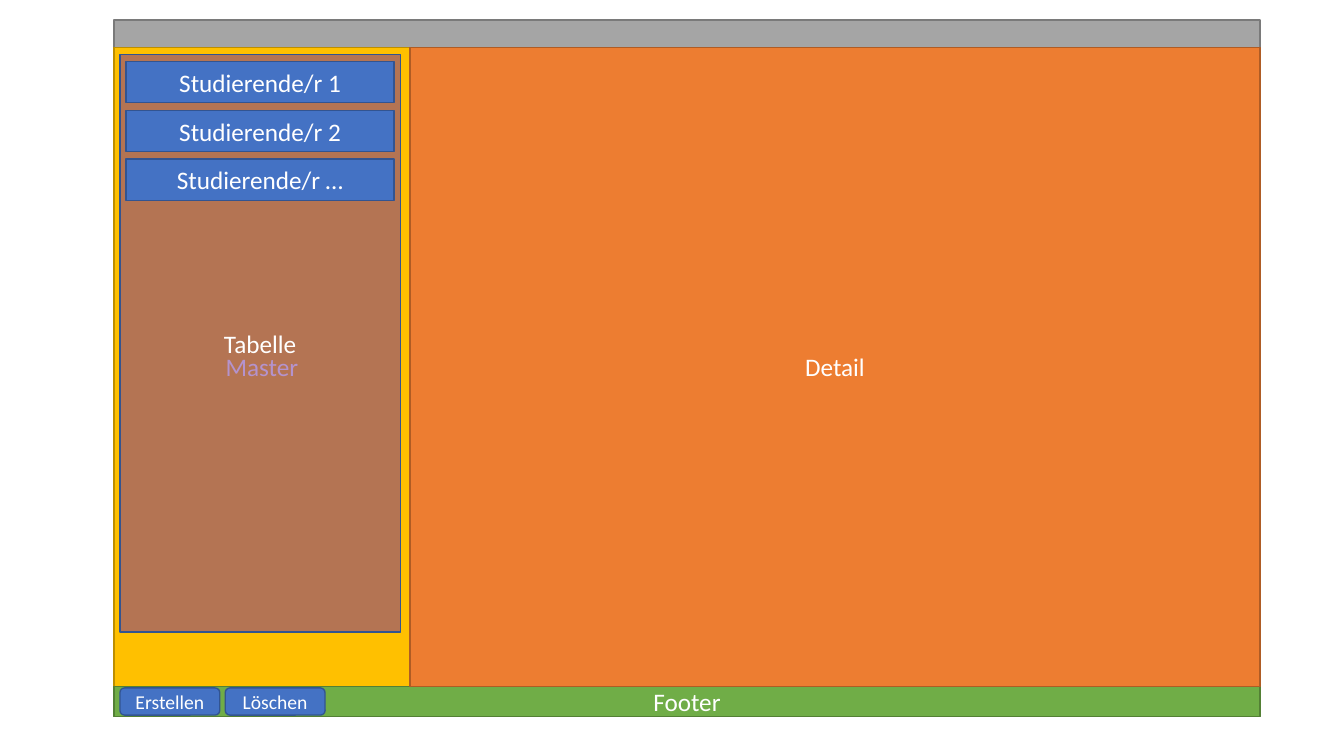
from dataclasses import dataclass

from lxml.etree import SubElement
from pptx import Presentation
from pptx.dml.color import RGBColor
from pptx.enum.shapes import MSO_SHAPE
from pptx.enum.text import MSO_ANCHOR, PP_ALIGN
from pptx.oxml.ns import qn
from pptx.util import Pt


@dataclass(frozen=True)
class Theme:
    """Colours are pairs of fill and outline."""
    font: str = "Calibri"
    text: str = "FFFFFF"
    body_size: int = 18
    button_size: int = 14
    window: tuple = ("A5A5A5", "7A7A7A")
    master: tuple = ("FFC000", "BD8E00")
    footer: tuple = ("70AD47", "538035")
    detail: tuple = ("ED7D31", "AF5C24")
    table: tuple = ("7030A0", "325491")
    item: tuple = ("4472C4", "325491")
    table_opacity: int = 52


THEME = Theme()

LEFT, TOP, WIDTH, HEIGHT = 81.4, 14.4, 818.6, 497.5
HEADER_HEIGHT = 19.4
FOOTER_HEIGHT = 21.6
MASTER_WIDTH = 211.4
PADDING = 4.3

CONTENT_TOP = TOP + HEADER_HEIGHT
FOOTER_TOP = TOP + HEIGHT - FOOTER_HEIGHT
CONTENT_HEIGHT = FOOTER_TOP - CONTENT_TOP
INNER_LEFT = LEFT + PADDING


def add_box(slide, bounds, colours, text="", size=THEME.body_size,
            kind=MSO_SHAPE.RECTANGLE):
    box = slide.shapes.add_shape(kind, *(Pt(length) for length in bounds))
    fill, outline = colours
    box.shadow.inherit = False
    box.fill.solid()
    box.fill.fore_color.rgb = RGBColor.from_string(fill)
    box.line.color.rgb = RGBColor.from_string(outline)
    box.line.width = Pt(1)
    if text:
        box.text_frame.text = text
        box.text_frame.vertical_anchor = MSO_ANCHOR.MIDDLE
        para = box.text_frame.paragraphs[0]
        para.alignment = PP_ALIGN.CENTER
        para.font.name = THEME.font
        para.font.size = Pt(size)
        para.font.color.rgb = RGBColor.from_string(THEME.text)
    return box


def set_opacity(box, percent):
    colour = box.fill._xPr.find(qn("a:solidFill"))[0]
    SubElement(colour, qn("a:alpha")).set("val", str(percent * 1000))


def add_regions(slide):
    add_box(slide, (LEFT, TOP, WIDTH, HEIGHT), THEME.window)
    add_box(slide, (LEFT, CONTENT_TOP, MASTER_WIDTH, CONTENT_HEIGHT),
            THEME.master, "Master")
    add_box(slide, (LEFT, FOOTER_TOP, WIDTH, FOOTER_HEIGHT),
            THEME.footer, "Footer")
    add_box(slide, (LEFT + MASTER_WIDTH, CONTENT_TOP,
                    WIDTH - MASTER_WIDTH, CONTENT_HEIGHT),
            THEME.detail, "Detail")


def add_buttons(slide, labels):
    width, height, pitch = 71.3, 19.4, 75.2
    top = FOOTER_TOP + (FOOTER_HEIGHT - height) / 2
    for index, label in enumerate(labels):
        add_box(slide, (INNER_LEFT + index * pitch, top, width, height),
                THEME.item, label, THEME.button_size,
                MSO_SHAPE.ROUNDED_RECTANGLE)


def add_student_table(slide, students):
    top, width, height = CONTENT_TOP + 5.1, 200.2, 412.6
    row_height, pitch = 29.5, 34.9
    table = add_box(slide, (INNER_LEFT, top, width, height),
                    THEME.table, "Tabelle")
    set_opacity(table, THEME.table_opacity)
    for index, student in enumerate(students):
        add_box(slide, (INNER_LEFT + PADDING, top + 5 + index * pitch,
                        width - 2 * PADDING, row_height),
                THEME.item, student)


def main():
    deck = Presentation()
    deck.slide_width, deck.slide_height = Pt(960), Pt(540)
    slide = deck.slides.add_slide(deck.slide_layouts[6])
    add_regions(slide)
    add_buttons(slide, ["Erstellen", "Löschen"])
    add_student_table(slide, [f"Studierende/r {name}" for name in "12…"])
    deck.save("out.pptx")


if __name__ == "__main__":
    main()
